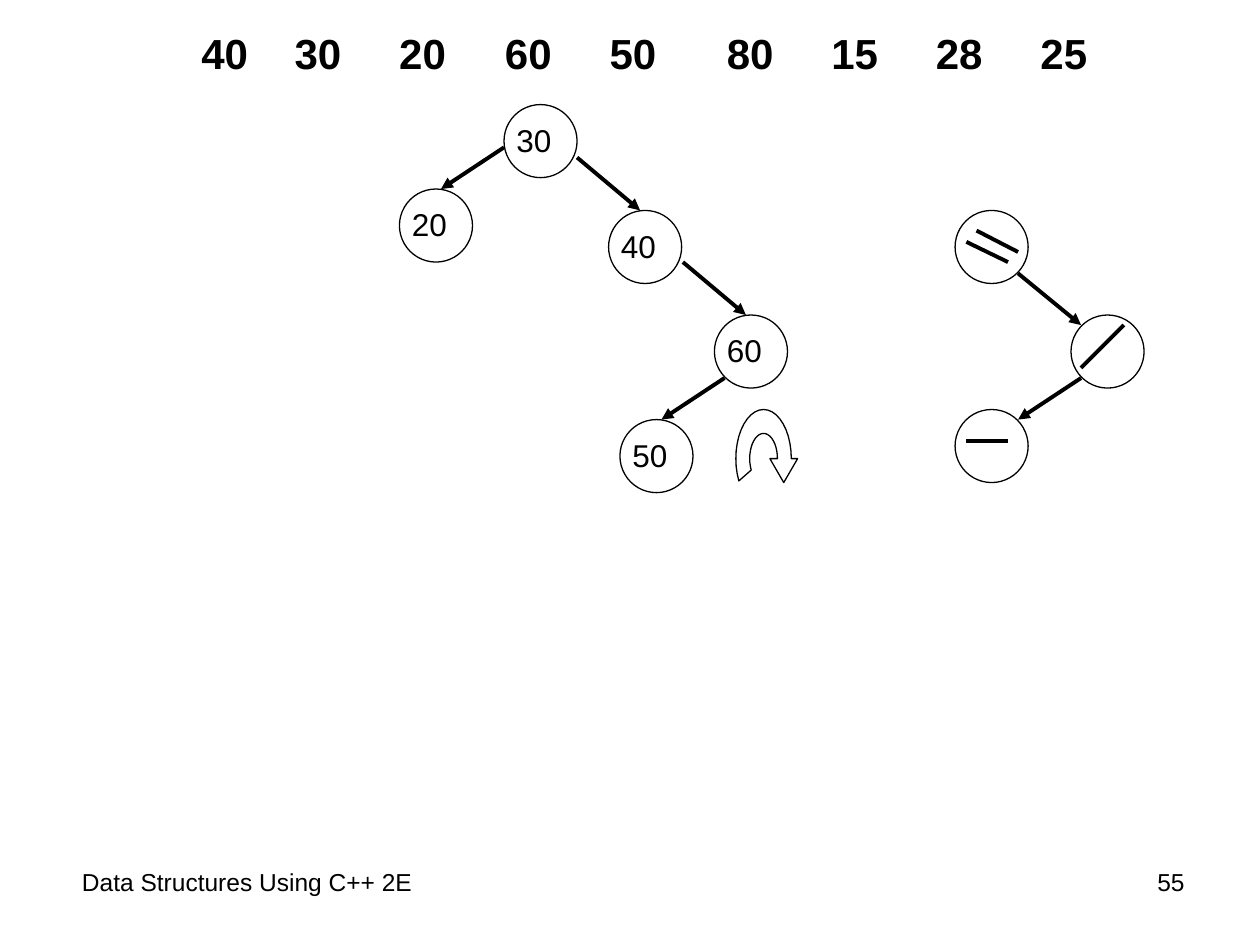
import math
import pptx
import pptx.util
from lxml import etree
from pptx.dml.color import RGBColor
from pptx.enum.shapes import MSO_CONNECTOR, MSO_SHAPE
from pptx.enum.text import PP_ALIGN
from pptx.oxml.ns import qn
from pptx.util import Inches

BLACK = RGBColor(0, 0, 0)
WHITE = RGBColor(255, 255, 255)
DIAMETER = 0.58

# Content: inserted keys, each with the gap before it in space widths
KEYS = [("40", 0), ("30", 4), ("20", 5), ("60", 5), ("50", 5),
        ("80", 6), ("15", 5), ("28", 5), ("25", 5)]
TREE_NODES = [("30", 4, 0.83), ("20", 3.17, 1.5), ("40", 4.83, 1.67),
              ("60", 5.67, 2.5), ("50", 4.92, 3.33)]
BALANCE_NODES = [(7.58, 1.67), (8.5, 2.5), (7.58, 3.25)]
ARROWS = [(4, 1.17, 3.5, 1.5), (4.58, 1.25, 5.08, 1.67),
          (5.42, 2.08, 5.92, 2.5), (5.75, 3, 5.25, 3.33),
          (8.08, 2.17, 8.58, 2.58), (8.58, 3, 8.08, 3.33)]
BALANCE_MARKS = [(8, 2.08, 7.67, 1.92), (8.08, 2, 7.75, 1.83),
                 (8.92, 2.58, 8.58, 2.92), (8, 3.5, 7.67, 3.5)]

prs = pptx.Presentation()
prs.slide_width, prs.slide_height = Inches(10), Inches(7.5)
s = prs.slides.add_slide(prs.slide_layouts[6])


def add_text(text, x, y, w, h, size, bold=False, align=PP_ALIGN.LEFT, tabs=()):
    tf = s.shapes.add_textbox(*map(Inches, (x, y, w, h))).text_frame
    tf.word_wrap = True
    p = tf.paragraphs[0]
    if tabs:
        tab_list = etree.SubElement(p._p.get_or_add_pPr(), qn("a:tabLst"))
        for pos in tabs:
            etree.SubElement(tab_list, qn("a:tab"), pos=str(Inches(pos)), algn="l")
    p.alignment = align
    r = p.add_run()
    r.text = text
    r.font.name, r.font.size, r.font.bold = "Arial", pptx.util.Pt(size), bold
    r.font.color.rgb = BLACK
    return tf


def outline(sp):
    sp.shadow.inherit = False
    sp.fill.solid()
    sp.fill.fore_color.rgb = WHITE
    sp.line.color.rgb = BLACK
    sp.line.width = pptx.util.Pt(0.75)


def add_circle(x, y):
    outline(s.shapes.add_shape(MSO_SHAPE.OVAL, *map(Inches, (x, y, DIAMETER, DIAMETER))))


def add_line(ends, arrow=False):
    c = s.shapes.add_connector(MSO_CONNECTOR.STRAIGHT, *map(Inches, ends))
    c.line.color.rgb = BLACK
    c.line.width = pptx.util.Pt(2.25)
    if arrow:
        etree.SubElement(c.line._get_or_add_ln(), qn("a:tailEnd"), type="triangle")
    etree.SubElement(c._element.spPr, qn("a:effectLst"))


def arc(rx, ry, degrees):
    return [(6.06 + rx * math.cos(math.radians(d)), 3.64 - ry * math.sin(math.radians(d)))
            for d in degrees]


# Key sequence: a tab stop after each two-digit key and its gap
SPACE, KEY_WIDTH = 0.0926, 0.37
stops, pos = [], 0
for key, gap in KEYS[1:]:
    pos += KEY_WIDTH + gap * SPACE
    stops.append(round(pos, 2))
add_text("\t".join(key for key, gap in KEYS), 1.5, 0.17, 7.5, 0.5, 24, True, tabs=stops)

# Search tree and balance diagram
for label, x, y in TREE_NODES:
    add_circle(x, y)
    add_text(label, x, y + 0.08, 0.5, 0.4, 18)
for x, y in BALANCE_NODES:
    add_circle(x, y)
for ends in ARROWS:
    add_line(ends, arrow=True)
for ends in BALANCE_MARKS:
    add_line(ends)

# Rotation arrow: inner arc, outer arc, then the head
points = (arc(0.11, 0.2, range(0, 208, 9)) + arc(0.22, 0.39, range(207, -1, -9))
          + [(6.33, 3.64), (6.22, 3.83), (6.11, 3.64)])
points = [(Inches(x), Inches(y)) for x, y in points]
builder = s.shapes.build_freeform(*points[0])
builder.add_line_segments(points[1:], close=True)
outline(builder.convert_to_shape())

# Footer and page number
footer = add_text("Data Structures Using C++ 2E", 0.5, 6.83, 7.58, 0.52, 14)
footer.margin_left = Inches(0.15)
add_text("55", 8.58, 6.83, 0.92, 0.52, 14, align=PP_ALIGN.RIGHT)

prs.save("out.pptx")
